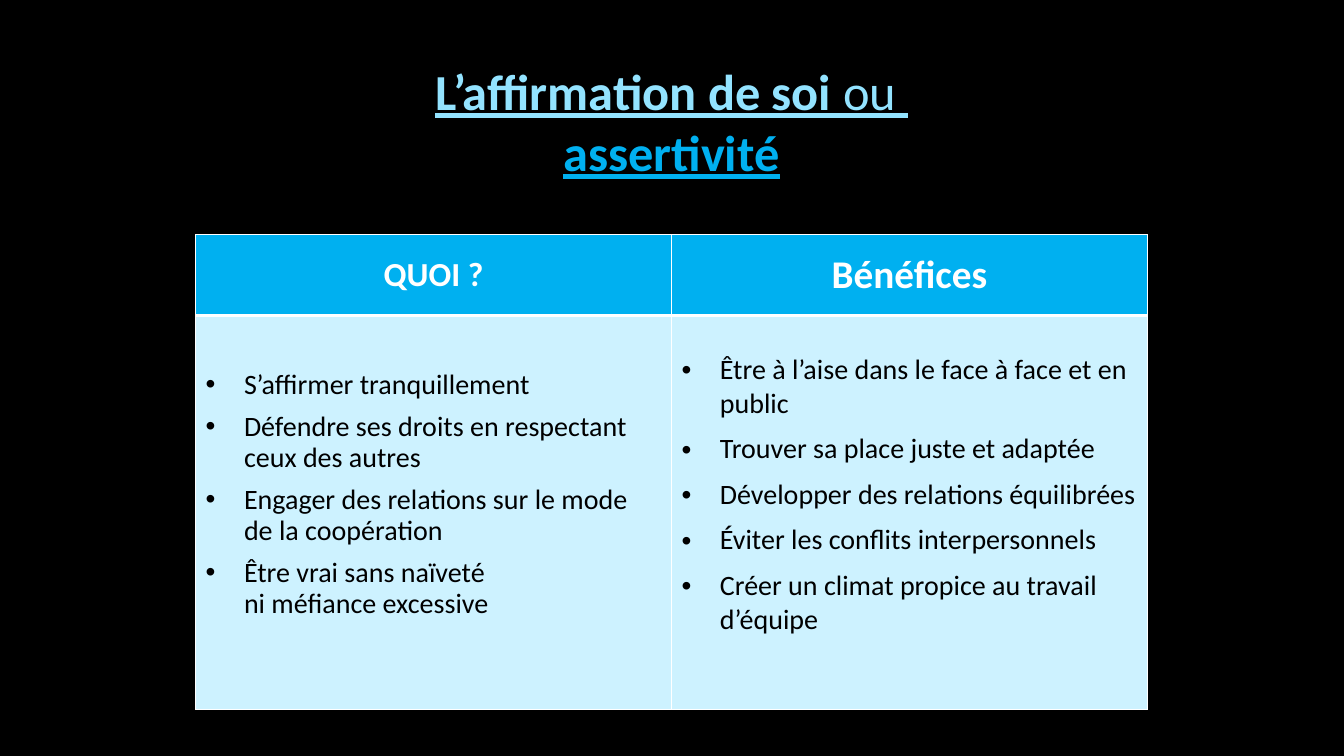
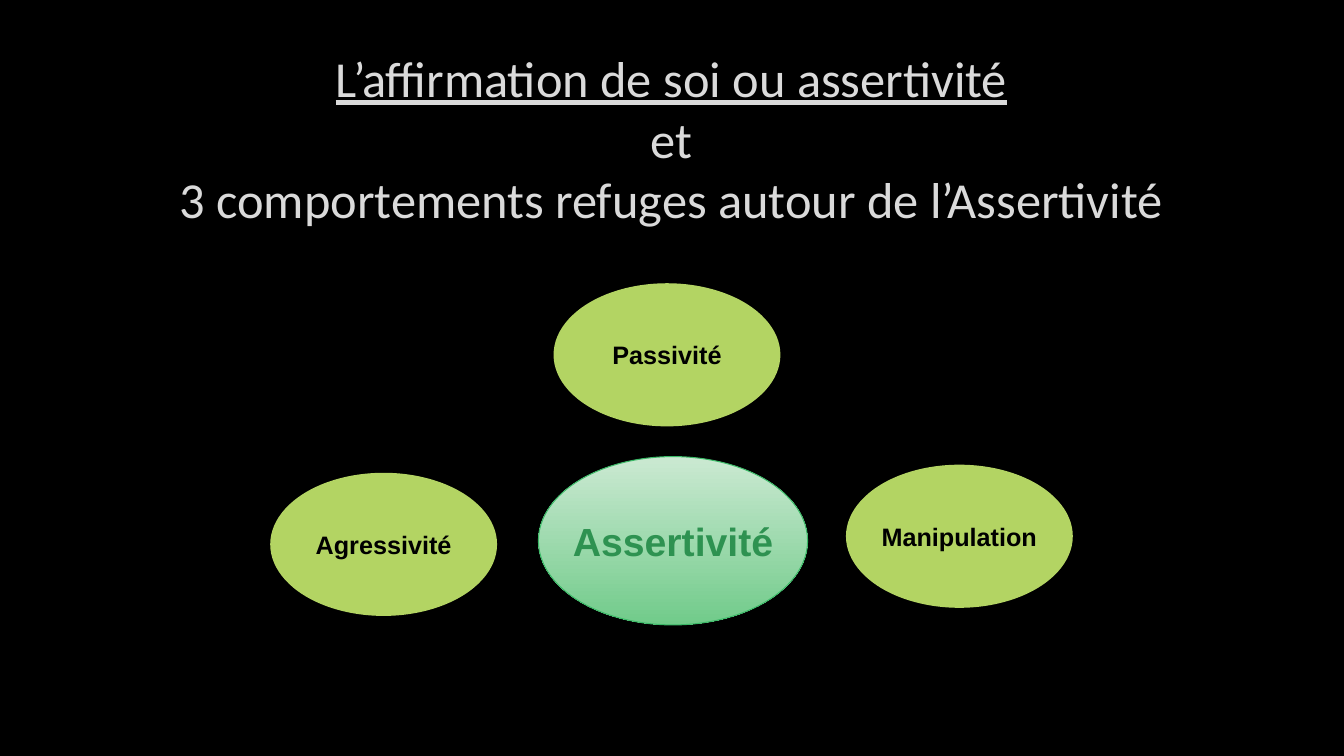
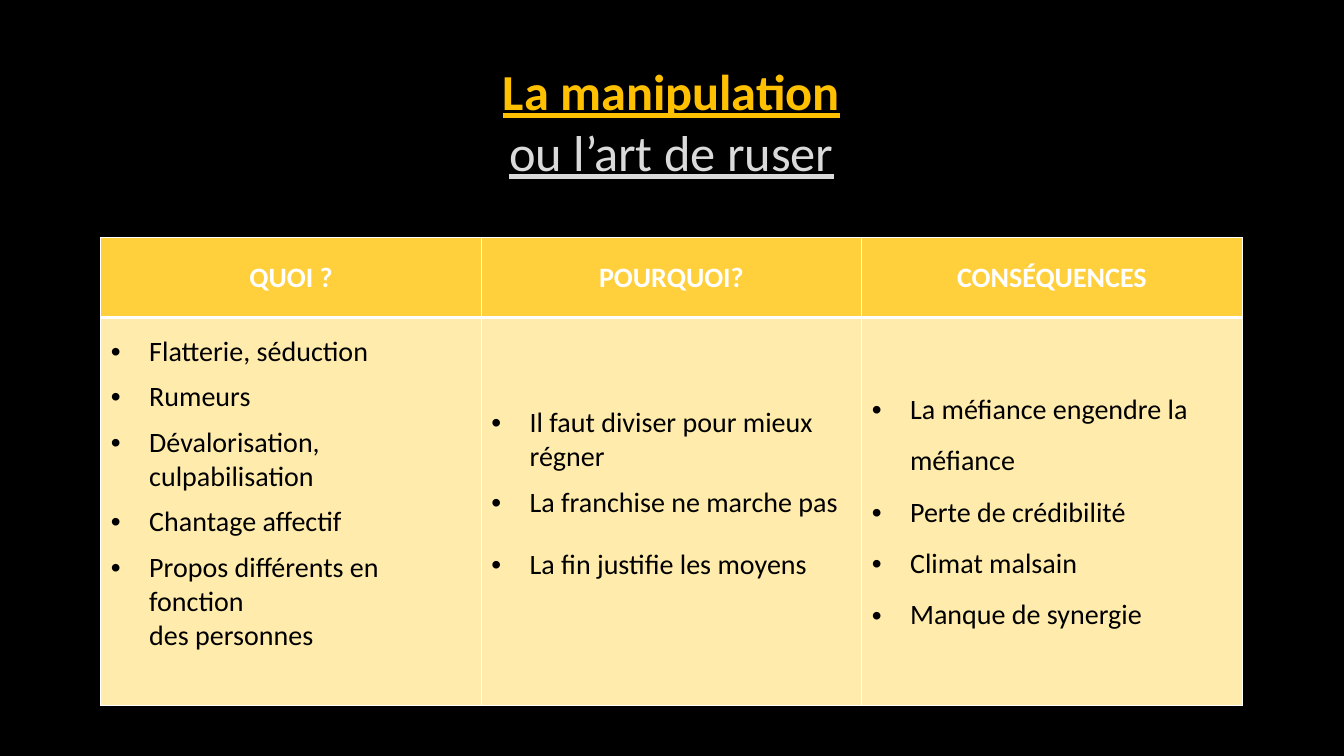
"""Build three slides on assertiveness and manipulation."""
import dataclasses

import lxml.etree
import pptx
import pptx.dml.color
import pptx.enum.shapes
import pptx.enum.text
import pptx.oxml.ns
import pptx.util

Inches = pptx.util.Inches
Pt = pptx.util.Pt
RGBColor = pptx.dml.color.RGBColor
CENTER = pptx.enum.text.PP_ALIGN.CENTER
MIDDLE = pptx.enum.text.MSO_ANCHOR.MIDDLE

BLACK = RGBColor(0x00, 0x00, 0x00)
WHITE = RGBColor(0xFF, 0xFF, 0xFF)
GREY = RGBColor(0xDA, 0xDA, 0xDA)
SKY = RGBColor(0x93, 0xE3, 0xFF)
BLUE = RGBColor(0x00, 0xB0, 0xF0)
PALE_BLUE = RGBColor(0xCD, 0xF2, 0xFF)
GOLD = RGBColor(0xFF, 0xC0, 0x00)
YELLOW = RGBColor(0xFF, 0xD0, 0x3B)
PALE_YELLOW = RGBColor(0xFF, 0xEB, 0xAB)
LIME = RGBColor(0xB3, 0xD4, 0x63)
GREEN = RGBColor(0x3B, 0xB9, 0x67)
DARK_GREEN = RGBColor(0x2E, 0x92, 0x51)
LIGHT_GREEN = RGBColor(0xCB, 0xE9, 0xD2)
MID_GREEN = RGBColor(0x71, 0xCB, 0x8A)

TITLE = {"name": "Calibri", "size": Pt(36), "underline": True}
HEADING = {"name": "Calibri", "bold": True, "color": WHITE}
BODY = {"name": "Calibri", "size": Pt(20), "bold": False, "color": BLACK}
BUBBLE = {"name": "Arial", "size": Pt(18), "bold": True, "color": BLACK}
INDENT = Inches(0.38)


@dataclasses.dataclass
class Column:
    """Hold one table column: heading, bullets and their spacing."""
    heading: str
    bullets: list
    heading_size: int = 20
    line_spacing: float = 1.0
    last_spacing: float = 0
    space_before: int = 8
    bottom: float = 0.4


def add_text(para, text, formats):
    """Add formatted runs, with a line break at each newline."""
    for index, line in enumerate(text.split("\n")):
        if index:
            para.add_line_break()
        if not line:
            continue
        span = para.add_run()
        span.text = line
        for name, value in formats.items():
            if name == "color":
                span.font.color.rgb = value
            else:
                setattr(span.font, name, value)


def add_slide(deck):
    """Add a blank slide with a black background."""
    page = deck.slides.add_slide(deck.slide_layouts[6])
    page.background.fill.solid()
    page.background.fill.fore_color.rgb = BLACK
    return page


def add_title(page, parts, top=0.67):
    """Add the centred title made of (text, formats) parts."""
    box = page.shapes.add_textbox(
        Inches(1), Inches(top), Inches(11.32), Inches(1.06))
    frame = box.text_frame
    frame.word_wrap = True
    frame.vertical_anchor = MIDDLE
    frame.paragraphs[0].alignment = CENTER
    for text, formats in parts:
        add_text(frame.paragraphs[0], text, TITLE | formats)


def style_cell(cell, color, bottom_width):
    """Give a cell white borders and a solid fill."""
    properties = cell._tc.get_or_add_tcPr()
    widths = {"lnL": 1, "lnR": 1, "lnT": 1, "lnB": bottom_width}
    for side, width in widths.items():
        line = lxml.etree.SubElement(
            properties, pptx.oxml.ns.qn("a:" + side), w=str(Pt(width)))
        fill = lxml.etree.SubElement(line, pptx.oxml.ns.qn("a:solidFill"))
        lxml.etree.SubElement(
            fill, pptx.oxml.ns.qn("a:srgbClr"), val=str(WHITE))
    cell.fill.solid()
    cell.fill.fore_color.rgb = color
    cell.vertical_anchor = MIDDLE


def add_bullet(para, text, line_spacing, space_before):
    """Write one bulleted paragraph."""
    para.line_spacing = line_spacing
    para.space_before = Pt(space_before)
    properties = para._p.get_or_add_pPr()
    properties.set("marL", str(INDENT))
    properties.set("indent", str(-INDENT))
    lxml.etree.SubElement(
        properties, pptx.oxml.ns.qn("a:buFont"), typeface="Arial")
    lxml.etree.SubElement(
        properties, pptx.oxml.ns.qn("a:buChar"), char="•")
    add_text(para, text, BODY)


def add_bullet_table(page, place, row_heights, columns, colors):
    """Add a table with one heading and one bullet list per column."""
    left, top, width = place
    shape = page.shapes.add_table(
        2, len(columns), Inches(left), Inches(top), Inches(width),
        Inches(sum(row_heights)))
    table = shape.table
    table.first_row = table.horz_banding = False
    for row, height in zip(table.rows, row_heights):
        row.height = Inches(height)
    for index, column in enumerate(columns):
        table.columns[index].width = Inches(width / len(columns))
        head, body = table.cell(0, index), table.cell(1, index)
        style_cell(head, colors[0], 3)
        style_cell(body, colors[1], 1)
        para = head.text_frame.paragraphs[0]
        para.alignment = CENTER
        add_text(para, column.heading,
                 HEADING | {"size": Pt(column.heading_size)})
        body.margin_bottom = Inches(column.bottom)
        frame = body.text_frame
        for number, text in enumerate(column.bullets):
            para = frame.add_paragraph() if number else frame.paragraphs[0]
            last = number == len(column.bullets) - 1
            spacing = last and column.last_spacing or column.line_spacing
            add_bullet(para, text, spacing, column.space_before)


def add_bubble(page, text, left, top, size=(2.25, 1.42), formats=BUBBLE):
    """Add a lime ellipse with a centred label."""
    bubble = page.shapes.add_shape(
        pptx.enum.shapes.MSO_SHAPE.OVAL,
        Inches(left), Inches(top), Inches(size[0]), Inches(size[1]))
    bubble.shadow.inherit = False
    bubble.fill.solid()
    bubble.fill.fore_color.rgb = LIME
    bubble.line.fill.background()
    frame = bubble.text_frame
    frame.word_wrap = False
    frame.vertical_anchor = MIDDLE
    frame.paragraphs[0].alignment = CENTER
    add_text(frame.paragraphs[0], text, formats)
    return bubble


def add_main_bubble(page):
    """Add the central ellipse with its green gradient."""
    bubble = add_bubble(page, "Assertivité", 5.34, 4.53, (2.67, 1.67),
                        BUBBLE | {"size": Pt(28), "color": DARK_GREEN})
    bubble.fill.gradient()
    bubble.fill.gradient_angle = 270
    stops = zip(bubble.fill.gradient_stops, (LIGHT_GREEN, MID_GREEN))
    for position, (stop, color) in enumerate(stops):
        stop.position = position
        stop.color.rgb = color
    bubble.line.color.rgb = GREEN
    bubble.line.width = Pt(0.75)


def build_assertiveness(deck):
    """Build the slide that defines assertiveness."""
    page = add_slide(deck)
    add_bullet_table(page, (1.94, 2.33, 9.44), (0.8, 3.91), [
        Column("QUOI ?", [
            "S’affirmer tranquillement",
            "Défendre ses droits en respectant ceux des autres",
            "Engager des relations sur le mode de la coopération",
            "Être vrai sans naïveté\nni méfiance excessive",
        ], heading_size=24, line_spacing=0.9),
        Column("Bénéfices", [
            "Être à l’aise dans le face à face et en public",
            "Trouver sa place juste et adaptée",
            "Développer des relations équilibrées",
            "Éviter les conflits interpersonnels",
            "Créer un climat propice au travail d’équipe",
        ], heading_size=28),
    ], (BLUE, PALE_BLUE))
    add_title(page, [
        ("L’affirmation de soi", {"color": SKY, "bold": True}),
        (" ou \n", {"color": SKY}),
        ("assertivité", {"color": BLUE, "bold": True}),
    ])


def build_behaviours(deck):
    """Build the slide of the three behaviours around assertiveness."""
    page = add_slide(deck)
    add_title(page, [
        ("L’affirmation de soi ou assertivité\n", {"color": GREY}),
        ("et\n3 comportements refuges autour de l’Assertivité",
         {"color": GREY, "underline": False}),
    ], top=0.84)
    add_bubble(page, "Passivité", 5.49, 2.81)
    add_main_bubble(page)
    add_bubble(page, "Manipulation", 8.39, 4.61)
    add_bubble(page, "Agressivité", 2.68, 4.69)


def build_manipulation(deck):
    """Build the slide on manipulation."""
    page = add_slide(deck)
    add_bullet_table(page, (1, 2.36, 11.32), (0.79, 3.85), [
        Column("QUOI ?", [
            "Flatterie, séduction",
            "Rumeurs",
            "Dévalorisation, culpabilisation",
            "Chantage affectif",
            "Propos différents en fonction\ndes personnes",
        ]),
        Column("POURQUOI?", [
            "Il faut diviser pour mieux régner",
            "La franchise ne marche pas",
            "La fin justifie les moyens",
        ], last_spacing=1.5),
        Column("CONSÉQUENCES", [
            "La méfiance engendre la méfiance",
            "Perte de crédibilité",
            "Climat malsain",
            "Manque de synergie",
        ], line_spacing=1.5, space_before=0, bottom=0.2),
    ], (YELLOW, PALE_YELLOW))
    add_title(page, [
        ("La manipulation\n", {"color": GOLD, "bold": True}),
        ("ou l’art de ruser", {"color": GREY}),
    ])


def main():
    """Build and save the deck."""
    deck = pptx.Presentation()
    deck.slide_width = Inches(13.33)
    deck.slide_height = Inches(7.5)
    build_assertiveness(deck)
    build_behaviours(deck)
    build_manipulation(deck)
    deck.save("out.pptx")


if __name__ == "__main__":
    main()
